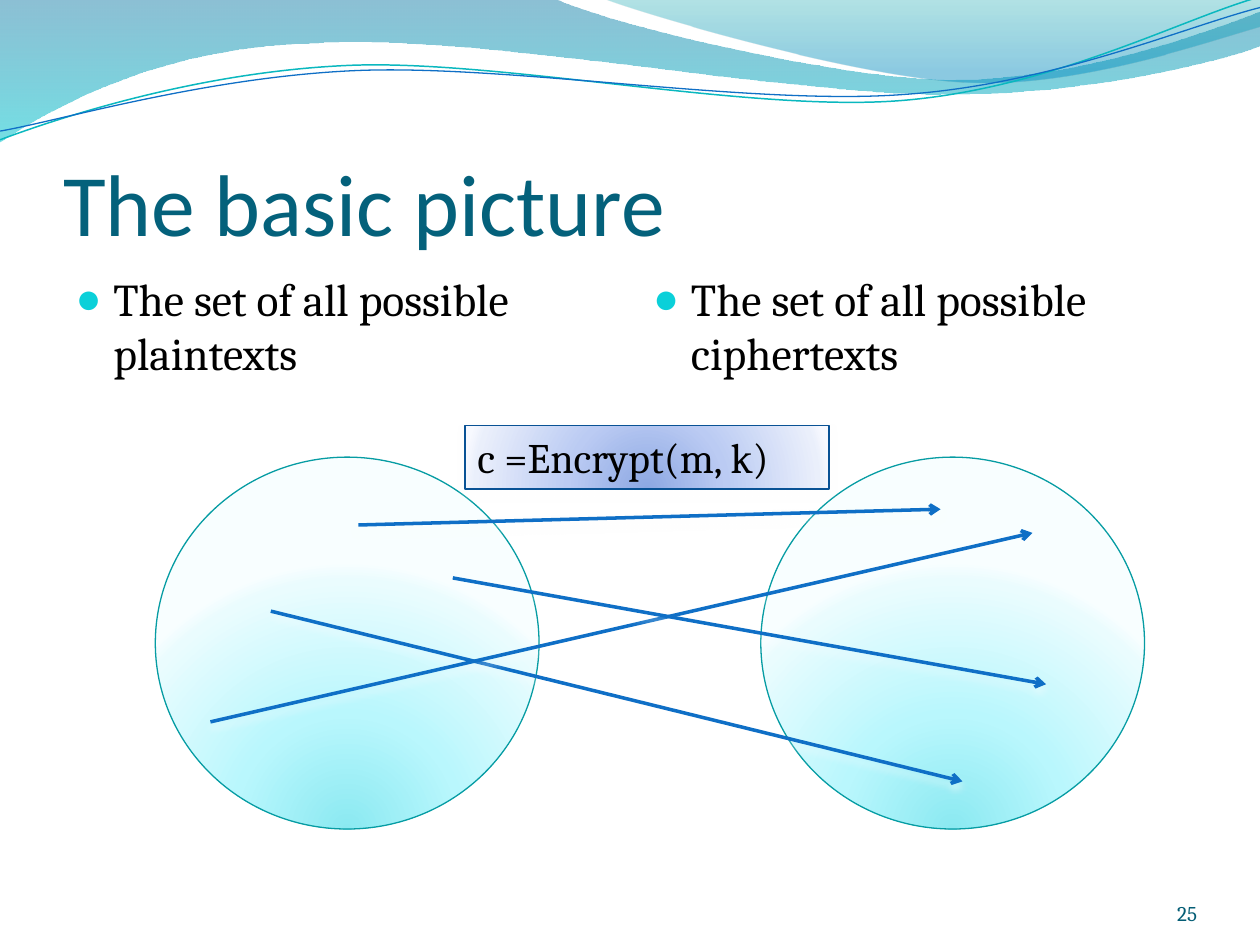
import pptx
import pptx.dml.color
import pptx.enum.shapes
import pptx.enum.text
import pptx.oxml
import pptx.oxml.ns
import pptx.util

Pt = pptx.util.Pt
rgb = pptx.dml.color.RGBColor.from_string
parse_xml = pptx.oxml.parse_xml
qn = pptx.oxml.ns.qn
SHAPE = pptx.enum.shapes.MSO_SHAPE
ANCHOR = pptx.enum.text.MSO_ANCHOR
ALIGN = pptx.enum.text.PP_ALIGN
NS = pptx.oxml.ns.nsdecls("a")
DOWN = '<a:lin ang="5400000" scaled="0"/>'
GLOW = ('<a:path path="circle">'
        '<a:fillToRect l="50000" t="130000" r="50000" b="-30000"/></a:path>')


def set_gradient(s, stops, direction):
    """Fill s with (position %, colour, opacity %) stops."""
    gs = "".join(
        f'<a:gs pos="{pos * 1000}"><a:srgbClr val="{color}">'
        f'<a:alpha val="{alpha * 1000}"/></a:srgbClr></a:gs>'
        for pos, color, alpha in stops)
    s._element.spPr.insert(2, parse_xml(
        f'<a:gradFill {NS} rotWithShape="1"><a:gsLst>{gs}</a:gsLst>{direction}</a:gradFill>'))


def add_run(p, text, size, font, color):
    r = p.add_run()
    r.text = text
    r.font.size = Pt(size)
    r.font.name = font
    r.font.color.rgb = rgb(color)


prs = pptx.Presentation()
prs.slide_width, prs.slide_height = Pt(720), Pt(540)
slide = prs.slides.add_slide(prs.slide_layouts[3])
shapes = slide.shapes

# Header waves: each segment is one point (straight) or three (Bezier curve)
waves = [
    ((0, 0), [
        [(317, -0.7)],
        [(342.7, 12.2), (478, 45.4), (545.8, 45.4)],
        [(614.2, 45.4), (689.8, 18.7), (720, 6.5)],
        [(720.7, 25.9)],
        [(707.8, 31.7), (626.4, 54.7), (537.1, 54)],
        [(447.8, 54), (275, 20.2), (185, 24.5)],
        [(92.9, 25.9), (33.1, 59.8), (-0.7, 81.4)],
    ], [(0, "0074A1", 45), (100, "00C6CF", 55)], None),
    ((345, -0.7), [
        [(366.5, 7.9), (491, 44.6), (553.7, 46.8)],
        [(616.3, 49.7), (691.9, 23), (720, 15.1)],
        [(720, 0)],
    ], [(0, "00A1A9", 30), (80, "008BBF", 45)], None),
    ((0, 79.9), [
        [(34.6, 67), (113.8, 41), (199.4, 37.4)],
        [(284.4, 33.8), (427, 64.1), (513.4, 57.6)],
        [(599.8, 51.1), (675.4, 10.8), (718.6, -1.4)],
    ], None, ("0AB8BF", 0.85)),
    ((0, 74.9), [
        [(33.8, 69.1), (118.1, 43.9), (203.8, 40.3)],
        [(290.2, 36.7), (429.8, 60.5), (516.2, 54)],
        [(601.9, 48.2), (677.5, 15.1), (720, 4.3)],
    ], None, ("0F6FC6", 0.75)),
]
for i, (start, segments, stops, line) in enumerate(waves):
    builder = shapes.build_freeform(Pt(start[0]), Pt(start[1]))
    builder.add_line_segments([(Pt(x), Pt(y)) for seg in segments for x, y in seg],
                              close=line is None)
    s = builder.convert_to_shape()
    steps = iter(list(s._element.iter(qn("a:lnTo"))))
    for seg in segments:
        first, *others = [next(steps) for _ in seg]
        if others:
            curve = parse_xml(f"<a:cubicBezTo {NS}/>")
            first.addprevious(curve)
            for step in (first, *others):
                curve.append(step[0])
                step.getparent().remove(step)
    s.shadow.inherit = False
    if line:
        s.fill.background()
        s.line.color.rgb = rgb(line[0])
        s.line.width = Pt(line[1])
    else:
        s.line.fill.background()
        set_gradient(s, stops, DOWN)
    shapes._spTree.insert(2 + i, s._element)  # behind the placeholders

# Title
s = shapes.title
s.left, s.top, s.width, s.height = Pt(36), Pt(55), Pt(648), Pt(90)
tf = s.text_frame
tf.vertical_anchor = ANCHOR.BOTTOM
tf.margin_left = tf.margin_right = tf.margin_bottom = 0
p = tf.paragraphs[0]
p.alignment = ALIGN.LEFT
add_run(p, "The basic picture", 50, "Calibri", "04617B")

# Set descriptions
for idx, left, text in ((1, 36, "The set of all possible plaintexts"),
                        (2, 366, "The set of all possible ciphertexts")):
    s = slide.placeholders[idx]
    s.left, s.top, s.width, s.height = Pt(left), Pt(151.2), Pt(318), Pt(349)
    p = s.text_frame.paragraphs[0]
    pPr = p._p.get_or_add_pPr()
    pPr.set("marL", str(Pt(21.6)))
    pPr.set("indent", str(-Pt(21.6)))
    for bullet in ('<a:buClr {}><a:srgbClr val="0BD0D9"/></a:buClr>',
                   '<a:buSzPct {} val="95000"/>', '<a:buChar {} char="●"/>'):
        pPr.append(parse_xml(bullet.format(NS)))
    p.space_before = Pt(0)
    add_run(p, text, 26, "Cambria", "000000")

# Slide number
s = shapes.add_textbox(Pt(624), Pt(500), Pt(60), Pt(29))
tf = s.text_frame
tf.word_wrap = True
tf.vertical_anchor = ANCHOR.BOTTOM
tf.margin_left = tf.margin_right = tf.margin_top = tf.margin_bottom = 0
p = tf.paragraphs[0]
p.alignment = ALIGN.RIGHT
add_run(p, "25", 12, "Cambria", "045D75")

# Plaintext set, ciphertext set and encryption label
TEAL = ("8BE9F1", "B9F7FD", "EAFCFE", "F8FEFF")
BLUE = ("8DA8E3", "BBCBF3", "EAEFFB", "F7F9FF")
shaded = []
for kind, box, colors, line in (
        (SHAPE.OVAL, (88.75, 261.25, 219.25, 212.5), TEAL, "069CA3"),
        (SHAPE.OVAL, (434.75, 261.25, 219.25, 212.5), TEAL, "069CA3"),
        (SHAPE.RECTANGLE, (265.75, 243.25, 208, 36.25), BLUE, "095295")):
    s = shapes.add_shape(kind, *map(Pt, box))
    s.line.color.rgb = rgb(line)
    s.line.width = Pt(0.75)
    set_gradient(s, [(pos, c, 100) for pos, c in zip((0, 43, 93, 100), colors)], GLOW)
    shaded.append(s)
tf = s.text_frame
tf.word_wrap = True
tf.auto_size = pptx.enum.text.MSO_AUTO_SIZE.SHAPE_TO_FIT_TEXT
tf.vertical_anchor = ANCHOR.TOP
p = tf.paragraphs[0]
p.alignment = ALIGN.LEFT
add_run(p, "c =Encrypt(m, k)", 24, "Cambria", "000000")

# Mapping arrows
for ends in ((204.75, 300, 537.5, 291), (154.75, 349.25, 550, 446.5),
             (120.25, 412.5, 590, 304.5), (258.75, 330.25, 597.75, 391)):
    s = shapes.add_connector(pptx.enum.shapes.MSO_CONNECTOR.STRAIGHT, *map(Pt, ends))
    s.line.color.rgb = rgb("0F6FC6")
    s.line.width = Pt(2)
    s.line._get_or_add_ln().append(parse_xml(f'<a:tailEnd {NS} type="arrow"/>'))
    shaded.append(s)

# Soft light shadow under the diagram parts
for s in shaded:
    s._element.spPr.append(parse_xml(
        f'<a:effectLst {NS}><a:outerShdw blurRad="{Pt(4.5)}" dist="{Pt(3)}" dir="5400000"'
        ' rotWithShape="0"><a:srgbClr val="FFFFFF"><a:alpha val="48000"/></a:srgbClr>'
        '</a:outerShdw></a:effectLst>'))

prs.save("out.pptx")
